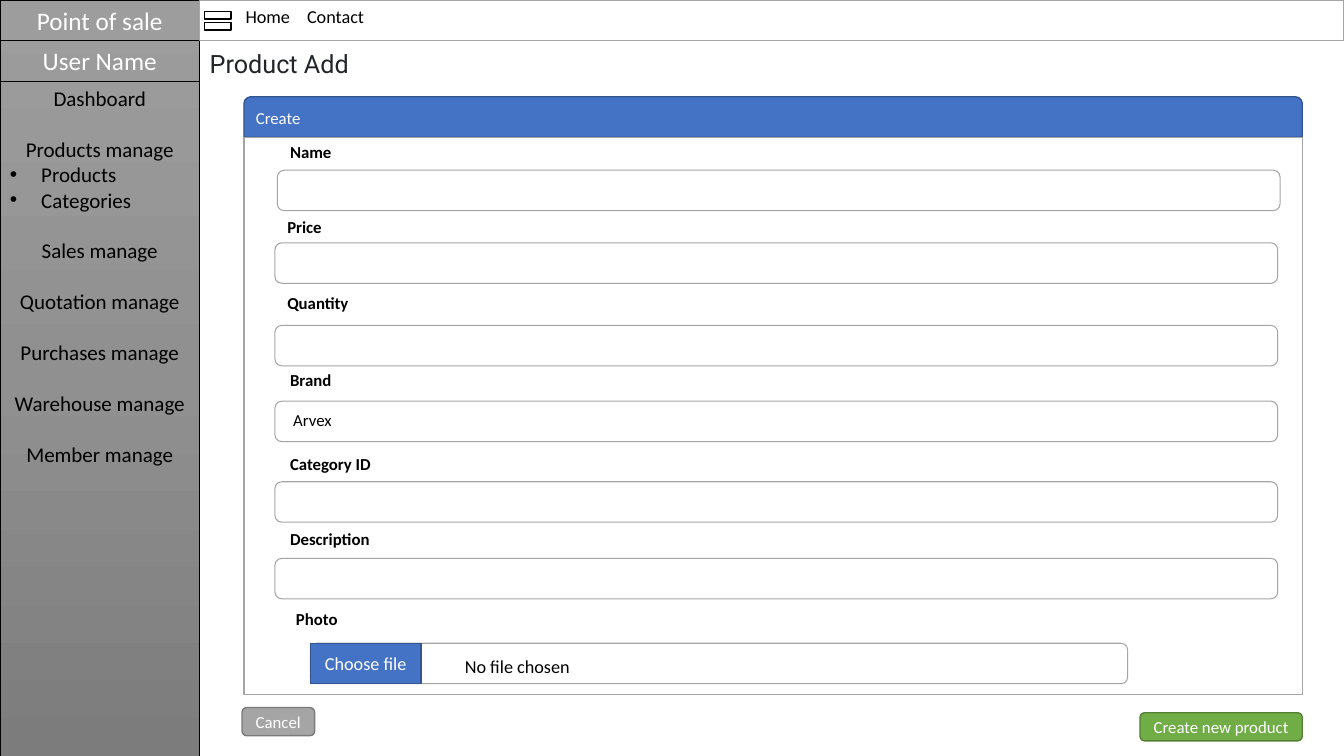
from copy import deepcopy

from lxml.etree import SubElement
from pptx import Presentation
from pptx.dml.color import RGBColor
from pptx.enum.shapes import MSO_CONNECTOR, MSO_SHAPE
from pptx.enum.text import MSO_ANCHOR, MSO_AUTO_SIZE, PP_ALIGN
from pptx.oxml.ns import qn
from pptx.util import Cm, Pt

BLACK, WHITE, GREY = "000000", "FFFFFF", "A5A5A5"
BLUE, DARK_BLUE = "4472C4", "325491"
BAR = 1.02  # height shared by bars and input fields, in cm
SIDEBAR = 5.03


def color(value):
    return RGBColor.from_string(value)


def lengths(box):
    return [Cm(value) for value in box]


def write(frame, text, size=12, font="Calibri", ink=BLACK, bold=False,
          align=PP_ALIGN.LEFT, before=0, new=False):
    para = frame.add_paragraph() if new else frame.paragraphs[0]
    para.alignment, para.line_spacing, para.space_before = align, 1.0, Pt(before)
    span = para.add_run()
    span.text = text
    span.font.size, span.font.name, span.font.bold = Pt(size), font, bold
    span.font.color.rgb = color(ink)
    return para


def add_label(page, text, box, **style):
    frame = page.shapes.add_textbox(*lengths(box)).text_frame
    frame.word_wrap = True
    write(frame, text, **style)
    return frame


def add_box(page, kind, box, fill=None, line=GREY, weight=1, text=None, **style):
    shape = page.shapes.add_shape(kind, *lengths(box))
    shape.shadow.inherit = False
    if fill:
        shape.fill.solid()
        shape.fill.fore_color.rgb = color(fill)
    else:
        shape.fill.background()
    shape.line.color.rgb = color(line)
    shape.line.width = Pt(weight)
    if text:
        shape.text_frame.vertical_anchor = MSO_ANCHOR.MIDDLE
        write(shape.text_frame, text, ink=WHITE, **style)
    return shape


def add_rule(page, left, top, width):
    rule = page.shapes.add_connector(
        MSO_CONNECTOR.STRAIGHT, *lengths((left, top, left + width, top)))
    rule.line.color.rgb = color(BLACK)
    rule.line.width = Pt(0.5)
    SubElement(rule._element.spPr, qn("a:effectLst"))


def shade(shape, stops):
    shape.fill.gradient()
    shape.fill.gradient_angle = 270
    stop_list = shape._element.spPr.find(".//" + qn("a:gsLst"))
    stop_list.append(deepcopy(stop_list[-1]))
    for stop, (position, value) in zip(shape.fill.gradient_stops, stops):
        stop.position = position
        stop.color.rgb = color(value)


def add_bullet(para):
    properties = para._p.get_or_add_pPr()
    properties.set("marL", str(Cm(0.79)))
    properties.set("indent", str(-Cm(0.79)))
    SubElement(properties, qn("a:buFont")).set("typeface", "Arial")
    SubElement(properties, qn("a:buChar")).set("char", "•")


def build_sidebar(page, box):
    left, top, width, height = box
    panel = add_box(page, MSO_SHAPE.RECTANGLE, box, line=BLACK, weight=0.5)
    shade(panel, [(0, "9D9D9D"), (0.5, "909090"), (1, "7C7C7C")])

    # Headings, each closed by a rule
    for row, heading in enumerate(["Point of sale", "User Name"]):
        add_label(page, heading, (left, top + row * BAR, width, BAR),
                  size=18, ink=WHITE, align=PP_ALIGN.CENTER)
        add_rule(page, left, top + (row + 1) * BAR, width)

    # Menu, one line of space between entries
    menu = add_label(page, "Dashboard", (left, top + 2 * BAR, width, 9.88),
                     size=15, align=PP_ALIGN.CENTER)
    sections = {"Products manage": ["Products", "Categories"], "Sales manage": [],
                "Quotation manage": [], "Purchases manage": [],
                "Warehouse manage": [], "Member manage": []}
    for section, entries in sections.items():
        write(menu, section, size=15, align=PP_ALIGN.CENTER, before=18.3, new=True)
        for entry in entries:
            add_bullet(write(menu, entry, size=15, new=True))


def build_navigation(page, box):
    left, top, _, _ = box
    add_box(page, MSO_SHAPE.RECTANGLE, box, fill=WHITE)
    add_box(page, MSO_SHAPE.MATH_EQUAL, (left, top + 0.13, 0.91, 0.79),
            fill=WHITE, line=BLACK)
    for text, offset in [("Home", 0.91), ("Contact", 2.46)]:
        add_label(page, text, (left + offset, top, 2.1, 0.81), size=13)


def build_title(page, box):
    title = page.shapes.title
    title.left, title.top, title.width, title.height = lengths(box)
    frame = title.text_frame
    frame.auto_size = MSO_AUTO_SIZE.NONE
    frame.vertical_anchor = MSO_ANCHOR.TOP
    write(frame, "Product Add", size=18, font="Roboto", ink="212529")


def build_form(page, box):
    left, top, width, height = box
    add_box(page, MSO_SHAPE.ROUND_2_SAME_RECTANGLE, (left, top, width, BAR),
            fill=BLUE, line=DARK_BLUE, text="Create")
    add_box(page, MSO_SHAPE.RECTANGLE, (left, top + BAR, width, height - BAR),
            weight=0.75)

    # Label, its offset, then the offset and width of its field
    fields = [
        ("Name", 0.91, 1.01, 0.84, 1.85, 25.27),
        ("Price", 0.84, 2.89, 0.78, 3.68, 25.27),
        ("Quantity", 0.84, 4.82, 0.78, 5.76, 25.27),
        ("Brand", 0.91, 6.75, 0.78, 7.67, 25.27),
        ("Category ID", 0.91, 8.86, 0.78, 9.7, 25.27),
        ("Description", 0.91, 10.77, 0.78, 11.63, 25.27),
        ("Photo", 1.06, 12.77, 1.67, 13.77, 20.6),
    ]
    for text, label_x, label_y, field_x, field_y, field_width in fields:
        add_box(page, MSO_SHAPE.ROUNDED_RECTANGLE,
                (left + field_x, top + field_y, field_width, BAR), weight=0.75)
        add_label(page, text, (left + label_x, top + label_y, 2.8, 0.76), bold=True)

    # Contents of the brand and photo fields
    add_label(page, "Arvex", (left + 0.99, top + 7.77, 2.49, 0.76))
    add_box(page, MSO_SHAPE.RECTANGLE, (left + 1.67, top + 13.77, 2.79, BAR),
            fill=BLUE, line=DARK_BLUE, text="Choose file", size=13,
            align=PP_ALIGN.CENTER)
    add_label(page, "No file chosen", (left + 4.47, top + 13.94, 4.83, 0.81),
              size=13, align=PP_ALIGN.CENTER)


def build_actions(page, box):
    left, top, width, height = box
    create_width = 4.09
    buttons = [
        ("Cancel", left, top, 1.83, GREY, "7A7A7A"),
        ("Create new product", left + width - create_width, top + 0.13,
         create_width, "70AD47", "538035"),
    ]
    for text, x, y, button_width, fill, line in buttons:
        add_box(page, MSO_SHAPE.ROUNDED_RECTANGLE, (x, y, button_width, height),
                fill=fill, line=line, text=text, align=PP_ALIGN.CENTER)


deck = Presentation()
deck.slide_width, deck.slide_height = Cm(33.87), Cm(19.05)
page = deck.slides.add_slide(deck.slide_layouts.get_by_name("Title Only"))
build_sidebar(page, (0, 0, SIDEBAR, 19.05))
build_navigation(page, (SIDEBAR, 0, 33.87 - SIDEBAR, BAR))
build_title(page, (SIDEBAR, 1.09, 5.59, BAR))
build_form(page, (6.15, 2.44, 26.67, 15.06))
build_actions(page, (6.1, 17.83, 26.72, 0.71))
deck.save("out.pptx")
